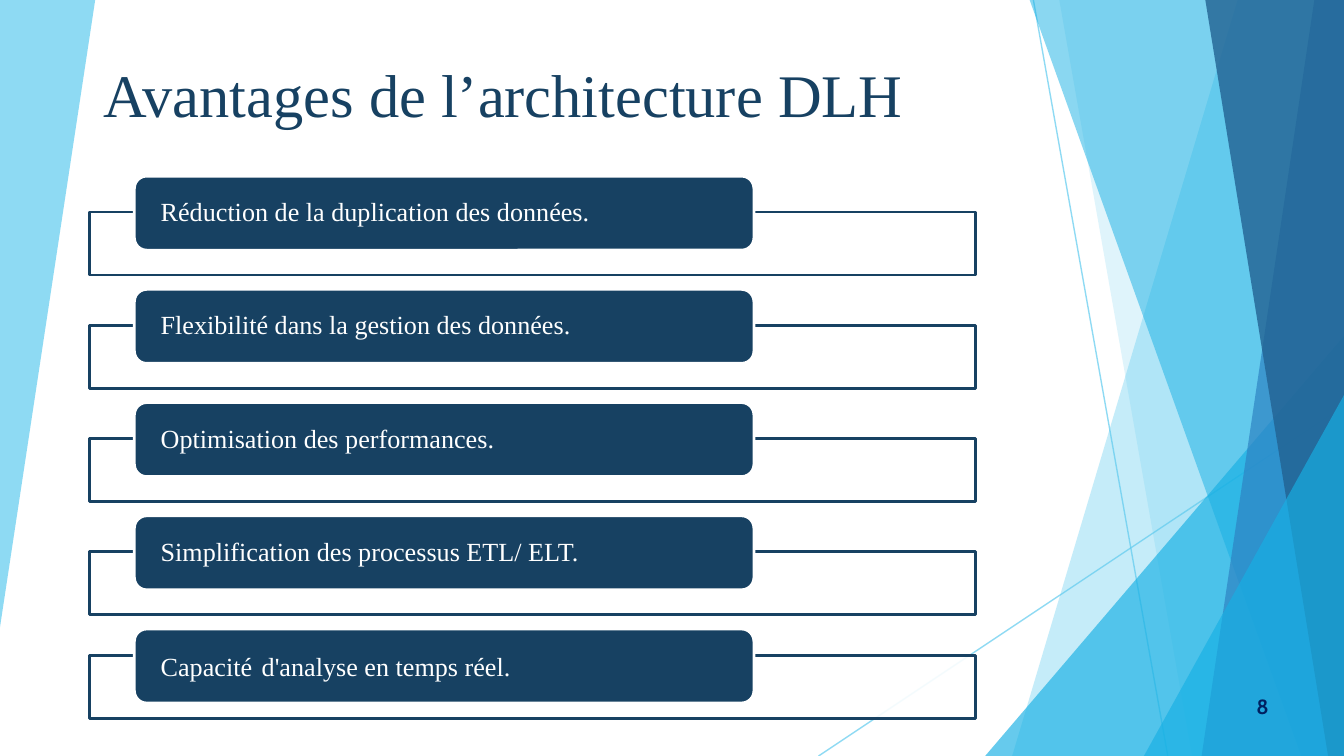
from dataclasses import dataclass

from lxml import etree
from pptx import Presentation
from pptx.dml.color import RGBColor
from pptx.enum import shapes, text
from pptx.oxml import ns
from pptx.util import Cm, Pt


@dataclass(frozen=True)
class Theme:
    navy: str = "174162"
    white: str = "FFFFFF"
    number: str = "002060"
    sky: str = "5FCBEF"
    cyan: str = "17B0E4"
    blue: str = "2E83C3"
    deep: str = "226292"
    serif: str = "Times New Roman"
    title_size: float = 32.4
    item_size: float = 14
    number_size: float = 11


THEME = Theme()
WIDTH, HEIGHT = 25.4, 14.29

# Panels reach the right edge: top x, bottom x, colour, opacity
BACK_PANELS = [
    (23.39, 19.13, THEME.sky, 36),
    (20.02, 22.53, THEME.sky, 20),
]
FRONT_PANELS = [
    (19.46, 24.59, THEME.cyan, 50),
    (24.84, 22.71, THEME.blue, 70),
    (22.78, 25.1, THEME.deep, 80),
]

ADVANTAGES = [
    ["Réduction de la duplication des données."],
    ["Flexibilité dans la gestion des données."],
    ["Optimisation des performances."],
    ["Simplification des processus ETL/ ELT."],
    ["Capacité", " ", "d'analyse en temps réel."],
]
FIRST_TOP, ROW_STEP = 3.33, 2.14


def set_opacity(color_format_owner, percent):
    """Add an alpha value to the solid colour of a fill or line element."""
    color = color_format_owner.find(".//" + ns.qn("a:srgbClr"))
    etree.SubElement(color, ns.qn("a:alpha"), val=str(percent * 1000))


def paint(shape, color, opacity=100, outline=None):
    shape.shadow.inherit = False
    shape.fill.solid()
    shape.fill.fore_color.rgb = RGBColor.from_string(color)
    if opacity < 100:
        set_opacity(shape._element.spPr, opacity)
    if outline:
        shape.line.color.rgb = RGBColor.from_string(outline)
        shape.line.width = Pt(1.5)
    else:
        shape.line.fill.background()


def style_run(run, size, color, font=THEME.serif, bold=False):
    run.font.name = font
    run.font.size = Pt(size)
    run.font.bold = bold
    run.font.color.rgb = RGBColor.from_string(color)


def add_polygon(slide, points, color, opacity):
    corners = [(Cm(x), Cm(y)) for x, y in points]
    builder = slide.shapes.build_freeform(*corners[0])
    builder.add_line_segments(corners[1:], close=True)
    paint(builder.convert_to_shape(), color, opacity)


def add_panel(slide, top_x, bottom_x, color, opacity):
    points = [(top_x, 0), (WIDTH, 0), (WIDTH, HEIGHT), (bottom_x, HEIGHT)]
    add_polygon(slide, points, color, opacity)


def add_corner(slide, left, top):
    """Add a triangle that fills the bottom right corner."""
    corner = slide.shapes.add_shape(
        shapes.MSO_SHAPE.ISOSCELES_TRIANGLE,
        Cm(left), Cm(top), Cm(WIDTH - left), Cm(HEIGHT - top))
    corner.adjustments[0] = 1
    paint(corner, THEME.cyan, 66)


def add_ray(slide, x1, y1, x2, y2):
    ray = slide.shapes.add_connector(
        shapes.MSO_CONNECTOR.STRAIGHT, Cm(x1), Cm(y1), Cm(x2), Cm(y2))
    ray.line.color.rgb = RGBColor.from_string(THEME.sky)
    ray.line.width = Pt(0.75)
    properties = ray._element.spPr
    set_opacity(properties, 70)
    etree.SubElement(properties, ns.qn("a:effectLst"))


def add_decor(slide):
    add_polygon(slide, [(0, 0), (1.8, 0), (0, 11.86)], THEME.sky, 70)
    add_ray(slide, 19.53, 0, 22.07, HEIGHT)
    add_ray(slide, WIDTH, 7.67, 15.47, HEIGHT)
    for panel in BACK_PANELS:
        add_panel(slide, *panel)
    add_corner(slide, 18.62, 6.35)
    for panel in FRONT_PANELS:
        add_panel(slide, *panel)
    add_corner(slide, 21.62, 7.47)


def add_title(slide, wording):
    title = slide.shapes.title
    title.left, title.top = Cm(1.7), Cm(0.33)
    title.width, title.height = Cm(15.98), Cm(2.26)
    frame = title.text_frame
    frame.text = wording
    frame.auto_size = text.MSO_AUTO_SIZE.NONE
    frame.vertical_anchor = text.MSO_ANCHOR.BOTTOM
    paragraph = frame.paragraphs[0]
    paragraph.alignment = text.PP_ALIGN.LEFT
    paragraph.line_spacing = 0.9
    style_run(paragraph.runs[0], THEME.title_size, THEME.navy)


def add_advantage(slide, top, frame_offset, parts):
    """Add an outlined frame with a filled card on its upper edge."""
    outline = slide.shapes.add_shape(
        shapes.MSO_SHAPE.RECTANGLE,
        Cm(1.7), Cm(top + frame_offset), Cm(16.74), Cm(1.19))
    paint(outline, THEME.white, 90, THEME.navy)

    card = slide.shapes.add_shape(
        shapes.MSO_SHAPE.ROUNDED_RECTANGLE,
        Cm(2.54), Cm(top), Cm(11.71), Cm(1.4))
    paint(card, THEME.navy, outline=THEME.white)
    frame = card.text_frame
    frame.word_wrap = True
    frame.vertical_anchor = text.MSO_ANCHOR.MIDDLE
    frame.margin_left = frame.margin_right = Cm(0.43)
    frame.margin_top = frame.margin_bottom = 0
    paragraph = frame.paragraphs[0]
    paragraph.alignment = text.PP_ALIGN.LEFT
    paragraph.line_spacing = 0.9
    for part in parts:
        run = paragraph.add_run()
        run.text = part
        if part == " ":
            style_run(run, 18, THEME.white, "Arial")
        else:
            style_run(run, THEME.item_size, THEME.white)


def add_page_number(slide, number):
    box = slide.shapes.add_textbox(Cm(20.6), Cm(12.85), Cm(3.63), Cm(1.02))
    frame = box.text_frame
    frame.word_wrap = True
    frame.vertical_anchor = text.MSO_ANCHOR.MIDDLE
    frame.text = str(number)
    paragraph = frame.paragraphs[0]
    paragraph.alignment = text.PP_ALIGN.RIGHT
    style_run(paragraph.runs[0], THEME.number_size, THEME.number, "Cabin", True)


def main():
    deck = Presentation()
    deck.slide_width, deck.slide_height = Cm(WIDTH), Cm(HEIGHT)
    slide = deck.slides.add_slide(deck.slide_layouts.get_by_name("Title Only"))
    add_decor(slide)
    add_title(slide, "Avantages de l’architecture DLH")
    for row, parts in enumerate(ADVANTAGES):
        is_last = row == len(ADVANTAGES) - 1
        frame_offset = 0.5 if is_last else 0.68
        add_advantage(slide, FIRST_TOP + row * ROW_STEP, frame_offset, parts)
    add_page_number(slide, 8)
    deck.save("out.pptx")


if __name__ == "__main__":
    main()
